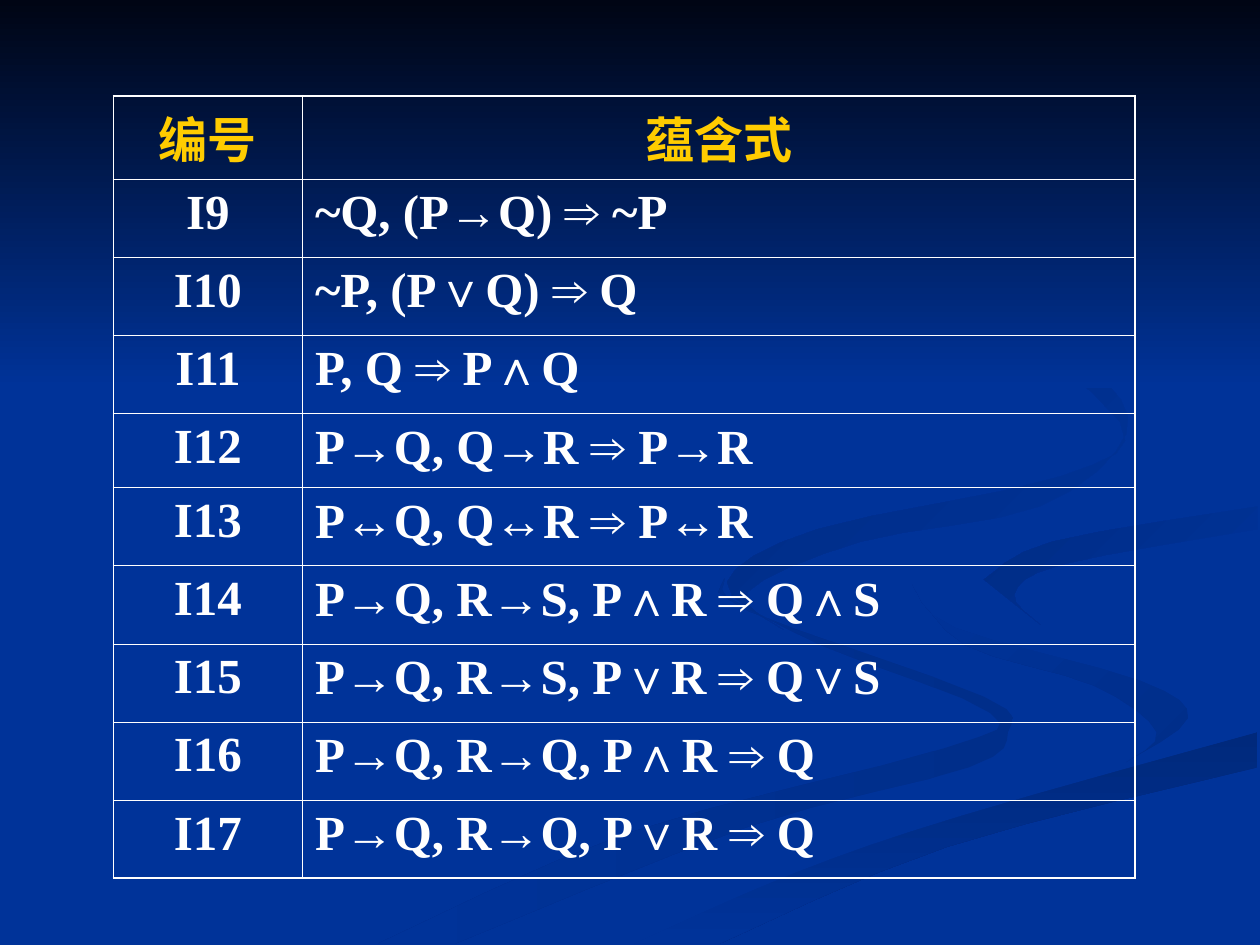
from lxml import etree
from pptx import Presentation
from pptx import util as u
from pptx.dml.color import RGBColor
from pptx.enum import shapes, text
from pptx.oxml.ns import qn

NAVY = "003399"
WHITE = "FFFFFF"
GOLD = "FFCC00"
BODY_FONT = "Times New Roman"
ARROW = "⇒"
STEPS = 4  # straight pieces between two points of a curve

HEADINGS = ("编号", "蕴含式")
FIRST_NUMBER = 9
FORMULAS = [
    "~Q, (P→Q) ⇒ ~P",
    "~P, (P∨Q) ⇒ Q",
    "P, Q ⇒ P∧Q",
    "P→Q, Q→R ⇒ P→R",
    "P↔Q, Q↔R ⇒ P↔R",
    "P→Q, R→S, P∧R ⇒ Q∧S",
    "P→Q, R→S, P∨R ⇒ Q∨S",
    "P→Q, R→Q, P∧R ⇒ Q",
    "P→Q, R→Q, P∨R ⇒ Q",
]

# Edges that two neighbouring ribbons share
RIGHT_BEND = [(7.24, 4.64), (7.58, 4.98), (9.05, 5.4), (9.43, 5.7), (8.94, 6.05)]
LOWER_SWEEP = [(5.03, 7.49), (6.3, 6.93), (7.64, 6.47), (9.98, 5.81)]
UPPER_HOOK = [(7.81, 4.6), (8.35, 4.3), (9.98, 4.02)]

# Ribbons: edges in drawing order, start colour, end colour, clockwise angle
RIBBONS = [
    ([[(5.75, 4.59), (5.94, 4.85), (7.81, 5.53), (8, 5.81), (7.69, 6.09),
       (5.94, 6.56), (3.61, 7.49)],
      [(3, 7.49), (4.99, 6.61), (7.49, 5.94), (7.86, 5.66), (6.54, 5.13), (5.7, 4.7)]],
     "002E8A", NAVY, 180),
    ([RIGHT_BEND, [(8.94, 6.05), (9.18, 5.81), (8.68, 5.44), (7.66, 5.12), (7.24, 4.64)]],
     "002E8A", NAVY, 225),
    ([LOWER_SWEEP, [(9.98, 6.09), (7.52, 6.72), (5.71, 7.49)]], "00297C", NAVY, 90),
    ([[(9.98, 3.87), (8.08, 4.17), (7.24, 4.64)], RIGHT_BEND,
      [(8.94, 6.05), (7.04, 6.55), (4.77, 7.49)], LOWER_SWEEP,
      [(9.98, 5.38), (8.32, 4.98), (7.81, 4.6)], UPPER_HOOK], NAVY, NAVY, 0),
    ([UPPER_HOOK, [(9.98, 4.2), (8.43, 4.48), (8.05, 4.72), (8.26, 4.96)]],
     NAVY, "002C85", 225),
    ([[(7.62, 2.33), (8.64, 2.91), (8.94, 3.44), (8.25, 4.02), (6.83, 4.3),
       (5.93, 4.7), (6.22, 5)],
      [(6.22, 5), (5.77, 4.62), (6.49, 4.2), (8.42, 3.78), (8.89, 3.35), (7.62, 2.33)]],
     NAVY, "002B81", 225),
]


def color(hex_code):
    return RGBColor.from_string(hex_code)


def smooth_edge(points):
    """Return points on a Catmull-Rom curve through the given points."""
    padded = [points[0], *points, points[-1]]
    curve = [points[0]]
    for a, b, c, d in zip(padded, padded[1:], padded[2:], padded[3:]):
        for step in range(1, STEPS + 1):
            t = step / STEPS
            curve.append(tuple(
                q + t / 2 * (r - p + t * (2 * p - 5 * q + 4 * r - s
                                          + t * (3 * (q - r) + s - p)))
                for p, q, r, s in zip(a, b, c, d)))
    return curve


def shade(shape, start, end, angle):
    """Fill with a linear gradient; angle is clockwise."""
    shape.shadow.inherit = False
    shape.line.fill.background()
    shape.fill.gradient()
    shape.fill.gradient_angle = (360 - angle) % 360
    for stop, hex_code in zip(shape.fill.gradient_stops, (start, end)):
        stop.color.rgb = color(hex_code)


def add_ribbon(page, edges, start, end, angle):
    corners = [(u.Inches(x), u.Inches(y))
               for edge in edges for x, y in smooth_edge(edge)]
    builder = page.shapes.build_freeform(*corners[0])
    builder.add_line_segments(corners[1:], close=True)
    shade(builder.convert_to_shape(), start, end, angle)


def add_top_band(page):
    band = page.shapes.add_shape(shapes.MSO_SHAPE.RECTANGLE, 0, 0,
                                 u.Inches(10), u.Inches(3.08))
    shade(band, "000514", NAVY, 90)


def set_border(cell, side, points):
    properties = cell._tc.get_or_add_tcPr()
    line = etree.SubElement(properties, qn(f"a:ln{side}"), w=str(u.Pt(points)))
    fill = etree.SubElement(line, qn("a:solidFill"))
    etree.SubElement(fill, qn("a:srgbClr"), val=WHITE)


def fill_cell(cell, words, hex_code, centred):
    """Write the words, with the implication arrow in its own font."""
    para = cell.text_frame.paragraphs[0]
    para.alignment = text.PP_ALIGN.CENTER if centred else text.PP_ALIGN.LEFT
    for part in filter(None, words.partition(ARROW)):
        span = para.add_run()
        span.text = part
        span.font.name = "Arial" if part == ARROW else BODY_FONT
        span.font.size = u.Pt(28)
        span.font.bold = True
        span.font.color.rgb = color(hex_code)


def add_rule_table(page):
    rows = [HEADINGS] + [(f"I{number}", formula)
                         for number, formula in enumerate(FORMULAS, FIRST_NUMBER)]
    frame = page.shapes.add_table(len(rows), 2, u.Inches(0.9), u.Inches(0.76),
                                  u.Inches(8.11), u.Inches(6.17))
    table = frame.table
    table.first_row = table.horz_banding = False
    for column, width in zip(table.columns, (1.5, 6.61)):
        column.width = u.Inches(width)
    last = len(rows) - 1
    for r, row in enumerate(rows):
        table.rows[r].height = u.Inches(0.59 if row[0] == "I12" else 0.62)
        for c, words in enumerate(row):
            cell = table.cell(r, c)
            fill_cell(cell, words, WHITE if r else GOLD, centred=r == 0 or c == 0)
            # Outer edges are heavier than the inner grid
            outer = {"L": c == 0, "R": c == 1, "T": r == 0, "B": r == last}
            for side, heavy in outer.items():
                set_border(cell, side, 1.08 if heavy else 0.45)
            cell.fill.background()


def main():
    deck = Presentation()
    deck.slide_width, deck.slide_height = u.Inches(10), u.Inches(7.5)
    page = deck.slides.add_slide(deck.slide_layouts[6])
    page.background.fill.solid()
    page.background.fill.fore_color.rgb = color(NAVY)

    # Backdrop, then the table of implications
    for ribbon in RIBBONS:
        add_ribbon(page, *ribbon)
    add_top_band(page)
    add_rule_table(page)
    deck.save("out.pptx")


if __name__ == "__main__":
    main()
